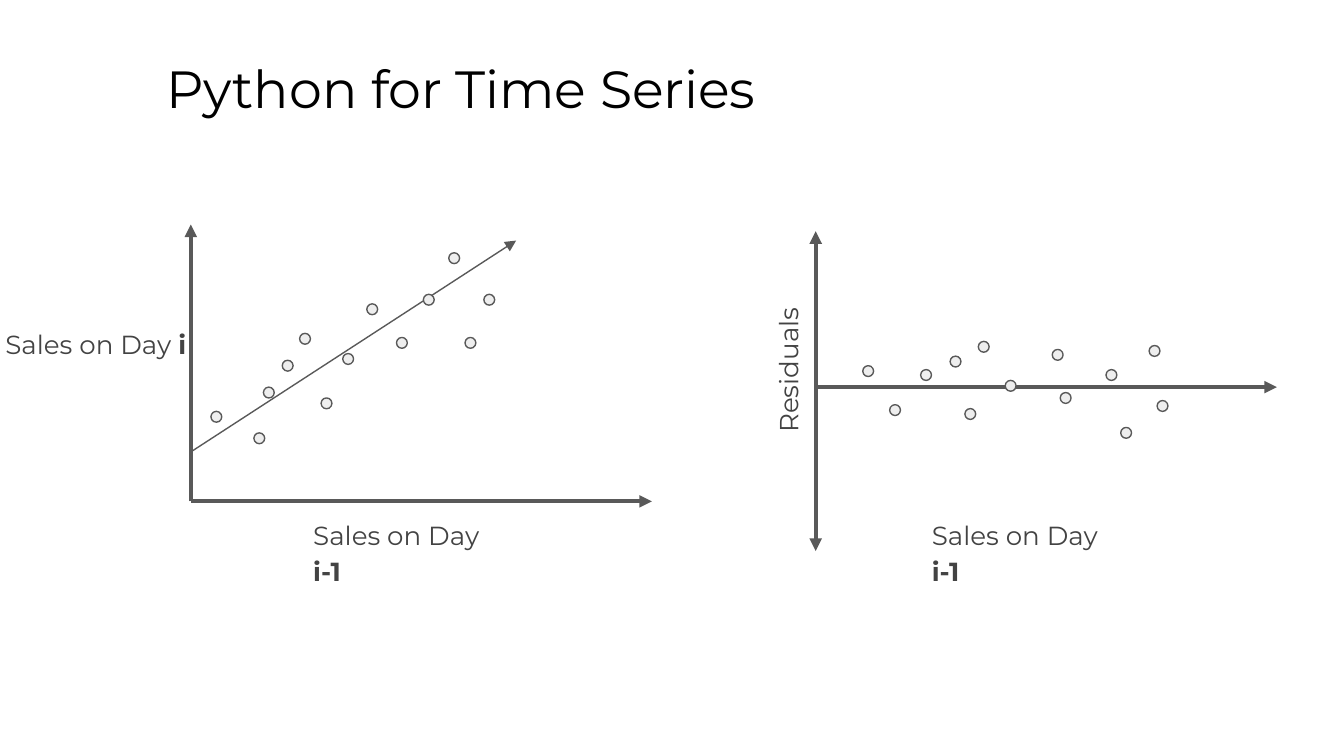
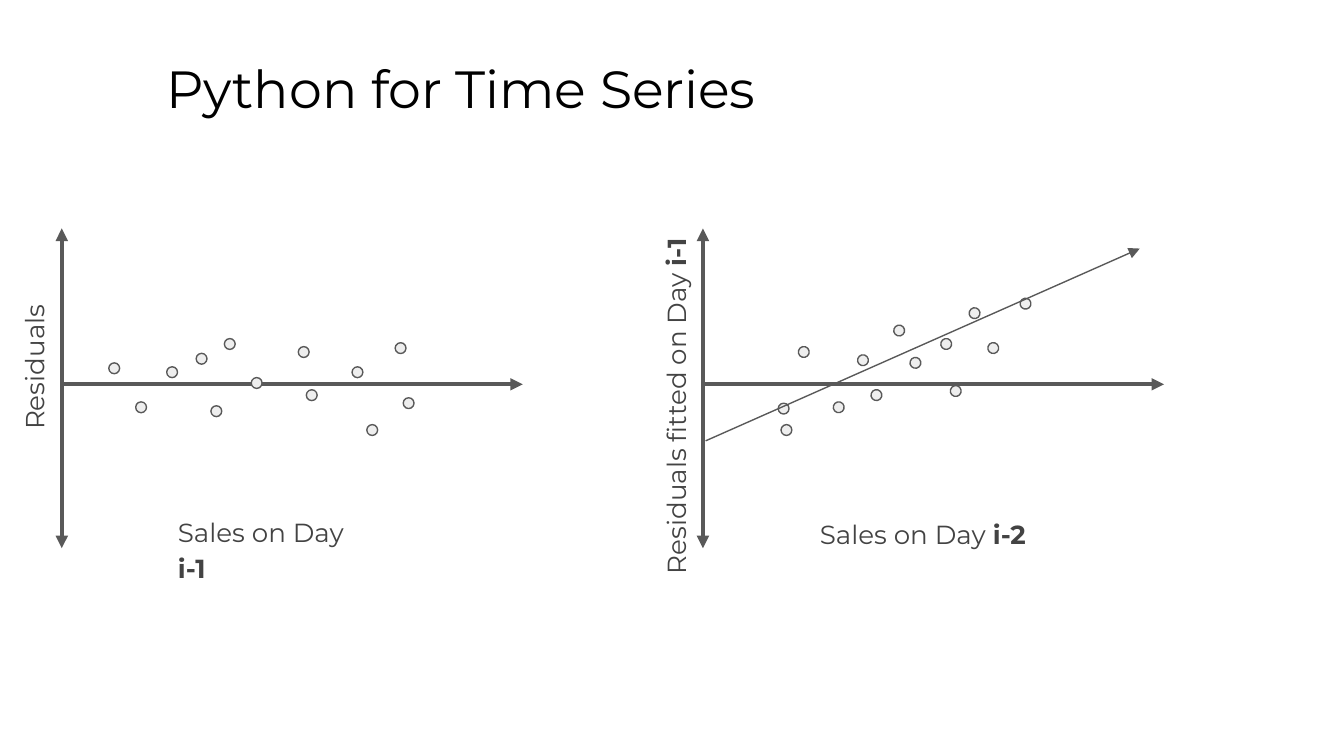
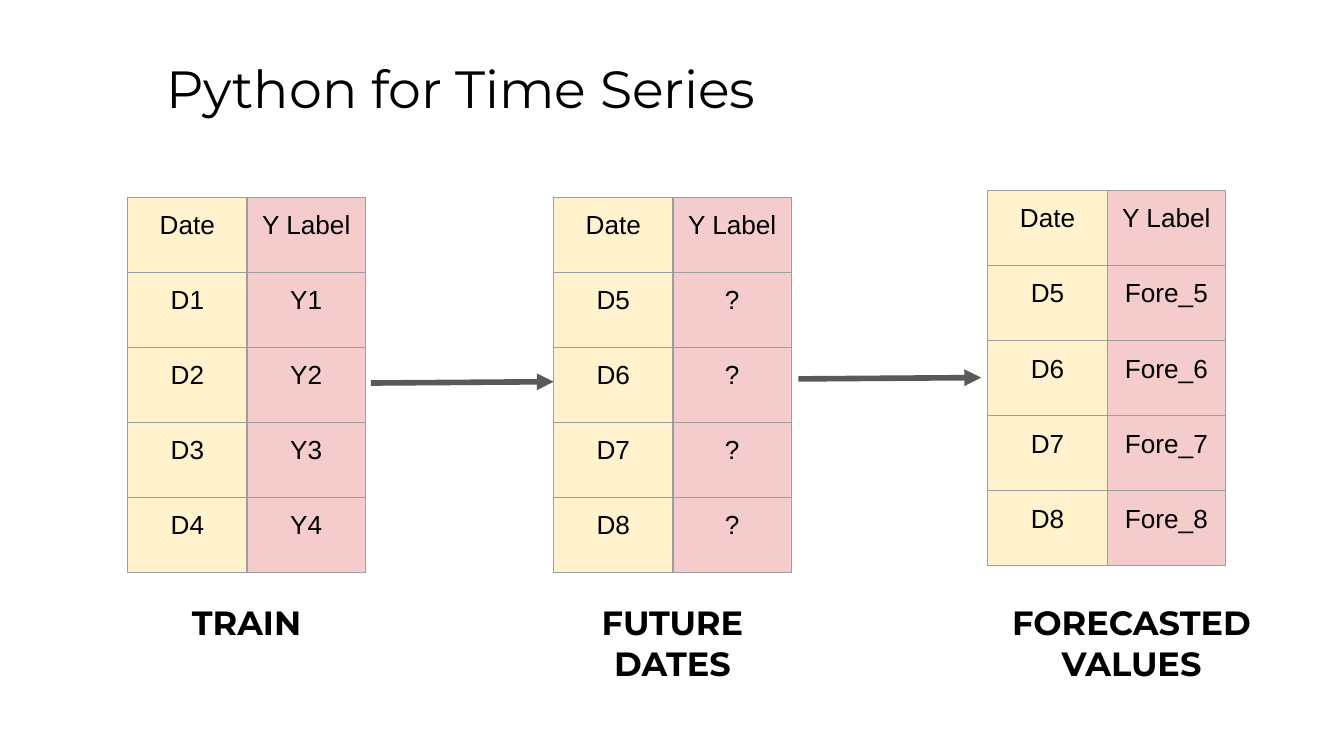
from lxml import etree
from pptx import Presentation
from pptx.dml.color import RGBColor
from pptx.enum.shapes import MSO_CONNECTOR, MSO_SHAPE
from pptx.enum.text import MSO_ANCHOR, MSO_AUTO_SIZE, PP_ALIGN
from pptx.oxml.ns import qn
from pptx.util import Pt

LEFT, CENTER = PP_ALIGN.LEFT, PP_ALIGN.CENTER
TOP, FIXED = MSO_ANCHOR.TOP, MSO_AUTO_SIZE.NONE
OVAL, LINE = MSO_SHAPE.OVAL, MSO_CONNECTOR.STRAIGHT
MIXED, TITLED = 4, 5

BLACK, TEXT, GRAY, PALE, EDGE = "000000", "434343", "595959", "EEEEEE", "9E9E9E"
CREAM, ROSE = "FFF2CC", "F4CCCC"
MONT = "Montserrat"
HEAD = {"name": MONT, "size": Pt(28), "bold": False}
LABEL = {"name": MONT, "size": Pt(14)}
NOTE = {"name": MONT, "size": Pt(18), "bold": True}
CELL = {"name": "Arial", "size": Pt(14), "bold": False}
PAD = {"margin_left": Pt(7.2), "margin_right": Pt(7.2),
       "margin_top": Pt(7.2), "margin_bottom": Pt(7.2)}
FRAME = {**PAD, "word_wrap": True, "auto_size": FIXED, "vertical_anchor": TOP}
LOOSE = {"line_spacing": 1.15, "space_before": Pt(0), "space_after": Pt(16),
         "alignment": LEFT}
PLAIN = {"first_row": False, "horz_banding": False}

AXIS, RISE, DROP = 247, 83.5, 87.8
DOT, SPIN, TILT = 5.8, 29.9, 17.3
SALES = [(10.8, -48.2), (33.8, -36.7), (38.9, -61.2), (69.8, -55.4), (58.3, -90),
         (110.2, -87.8), (81.4, -79.2), (124.6, -110.9), (94.3, -105.8),
         (138.2, -133.2), (157, -110.9), (146.9, -87.8), (49, -75.6)]
RESID = [(25.2, -11.5), (39.6, 9.4), (56.2, -9.4), (79.9, 11.5), (87.1, -24.5),
         (131, 2.9), (101.5, -3.6), (155.5, -9.4), (126.7, -20.2),
         (178.6, -22.3), (182.9, 7.2), (163.4, 21.6), (72, -16.6)]
LOW = [(41.8, 21.6), (40.3, 10.1)]
FIT = [(51.1, -20.2), (90, 2.9), (82.8, -15.8), (132.5, 0.7), (110.9, -14.4),
       (127.4, -24.5), (102.2, -31.7), (152.6, -22.3), (142.6, -41),
       (169.9, -46.1), (69.8, 9.4)]


def color(code):
    """Turn a hex string into a colour."""
    return RGBColor.from_string(code)


def put(item, values):
    """Set each named value on the item."""
    for name, value in values.items():
        setattr(item, name, value)


def place(shape, *box):
    """Move and size a shape in points."""
    put(shape, dict(zip(("left", "top", "width", "height"), map(Pt, box))))


class Deck:
    """Holds the style and the current slide."""

    def __init__(self):
        """Open a blank deck of the wanted size."""
        self.show = Presentation()
        put(self.show, {"slide_width": Pt(720), "slide_height": Pt(405)})

    def page(self, kind, title):
        """Start a slide with its title."""
        self.slide = self.show.slides.add_slide(self.show.slide_layouts[kind])
        self.shapes = self.slide.shapes
        self.slots = iter(list(self.slide.placeholders)[1:])
        head = self.shapes.title
        place(head, 82.1, 23, 613.4, 45.4)
        put(head.text_frame, FRAME)
        para = head.text_frame.paragraphs[0]
        para.alignment = LEFT
        self.run(para, title, HEAD, BLACK)

    def run(self, para, text, style, ink):
        """Add a styled run."""
        run = para.add_run()
        run.text = text
        put(run.font, style)
        run.font.color.rgb = color(ink)

    def label(self, box, text, strong="", turn=0, indent=0):
        """Fill a body placeholder with an axis label."""
        shape = next(self.slots)
        place(shape, *box)
        shape.rotation = turn
        put(shape.text_frame, FRAME)
        para = shape.text_frame.paragraphs[0]
        put(para, LOOSE)
        props = para._p.get_or_add_pPr()
        props.set("marL", "0")
        props.set("indent", str(Pt(indent)))
        etree.SubElement(props, qn("a:buNone"))
        self.run(para, text, {**LABEL, "bold": False}, TEXT)
        if strong:
            self.run(para, strong, {**LABEL, "bold": True}, TEXT)

    def arrow(self, start, end, width=2.25, both=False):
        """Draw an arrow, with two heads if both is set."""
        line = self.shapes.add_connector(LINE, *map(Pt, (*start, *end)))
        line.line.width = Pt(width)
        line.line.color.rgb = color(GRAY)
        for tag in ("a:headEnd", "a:tailEnd")[not both:]:
            etree.SubElement(line.line._ln, qn(tag), type="triangle")
        etree.SubElement(line._element.spPr, qn("a:effectLst"))

    def dots(self, x, y, spots, turn=0):
        """Scatter dots around an origin."""
        for dx, dy in spots:
            dot = self.shapes.add_shape(OVAL, *map(Pt, (x + dx, y + dy, DOT, DOT)))
            dot.rotation = turn
            dot.shadow.inherit = False
            dot.fill.solid()
            dot.fill.fore_color.rgb = color(PALE)
            dot.line.color.rgb = color(GRAY)
            dot.line.width = Pt(0.75)

    def cross(self, x, y):
        """Draw the axes of a residual plot."""
        self.arrow((x, y + DROP), (x, y - RISE), both=True)
        self.arrow((x, y), (x + AXIS, y))

    def resid(self, x, y):
        """Draw the plot of residuals by day."""
        self.cross(x, y)
        self.dots(x, y, RESID, SPIN)
        self.label((x - 78.4, y - 44.7, 121.7, 31), "Residuals", turn=270)
        self.label((x + 55, y + 61.2, 121.7, 31), "Sales on Day ", "i-1")

    def table(self, x, y, rows):
        """Draw a two-column table."""
        frame = self.shapes.add_table(
            len(rows), 2, *map(Pt, (x, y, 127.4, 40.2 * len(rows))))
        grid = frame.table
        put(grid, PLAIN)
        for col, width in zip(grid.columns, (64, 63.4)):
            col.width = Pt(width)
        for r, row in enumerate(rows):
            grid.rows[r].height = Pt(40.2)
            for c, text in enumerate(row):
                self.cell(grid.cell(r, c), text, (CREAM, ROSE)[c])

    def cell(self, cell, text, fill):
        """Fill and frame one table cell."""
        put(cell, {**PAD, "vertical_anchor": TOP})
        para = cell.text_frame.paragraphs[0]
        para.alignment = CENTER
        self.run(para, text, CELL, BLACK)
        props = cell._tc.get_or_add_tcPr()
        for side in ("a:lnL", "a:lnR", "a:lnT", "a:lnB"):
            line = etree.SubElement(props, qn(side), w=str(Pt(0.75)))
            solid = etree.SubElement(line, qn("a:solidFill"))
            etree.SubElement(solid, qn("a:srgbClr"), val=EDGE)
        cell.fill.solid()
        cell.fill.fore_color.rgb = color(fill)

    def note(self, x, width, *lines):
        """Write a bold caption under a table."""
        frame = self.shapes.add_textbox(*map(Pt, (x, 315.4, width, 37.4))).text_frame
        put(frame, FRAME)
        for i, text in enumerate(lines):
            para = frame.add_paragraph() if i else frame.paragraphs[0]
            para.alignment = CENTER
            self.run(para, text, NOTE, BLACK)


TITLE = "Python for Time Series"
deck = Deck()

deck.page(MIXED, TITLE)
x, y = 102.2, 268.6
deck.arrow((101.5, 242.6), (276.5, 128.9), 0.75)
deck.label((-4.3, 166.3, 121.7, 31), "Sales on Day ", "i")
deck.arrow((x, y), (x, y - 148.3))
deck.arrow((x, y), (x + AXIS, y))
deck.label((x + 58.4, y, 121.7, 31), "Sales on Day ", "i-1")
deck.dots(x, y, SALES)
deck.resid(437, 207.4)

deck.page(MIXED, TITLE)
deck.resid(33.1, 205.9)
x, y = 376.6, 205.9
deck.cross(x, y)
deck.dots(x, y, LOW, SPIN)
deck.dots(x, y, FIT, TILT)
deck.label((236.9, 203, 244.8, 31), "Residuals fitted on Day ", "i-1", 270, 26)
deck.label((432, 267.8, 157.7, 28.8), "Sales on Day ", "i-2")
deck.arrow((378, 236.2), (610.6, 133.2), 0.75)

deck.page(TITLED, TITLE)
TOPS = ("Date", "Y Label")
DAYS = range(5, 9)
deck.table(68.4, 105.8, [TOPS] + [(f"D{n}", f"Y{n}") for n in range(1, 5)])
deck.table(296.6, 105.8, [TOPS] + [(f"D{n}", "?") for n in DAYS])
deck.table(529.2, 102.2, [TOPS] + [(f"D{n}", f"Fore_{n}") for n in DAYS])
deck.arrow((198.7, 205.2), (296.6, 204.5), 3)
deck.arrow((427.7, 203), (525.6, 202.3), 3)
deck.note(68.4, 127.4, "TRAIN")
deck.note(296.6, 127.4, "FUTURE", "DATES")
deck.note(534.2, 144, "FORECASTED VALUES")

deck.show.save("out.pptx")
